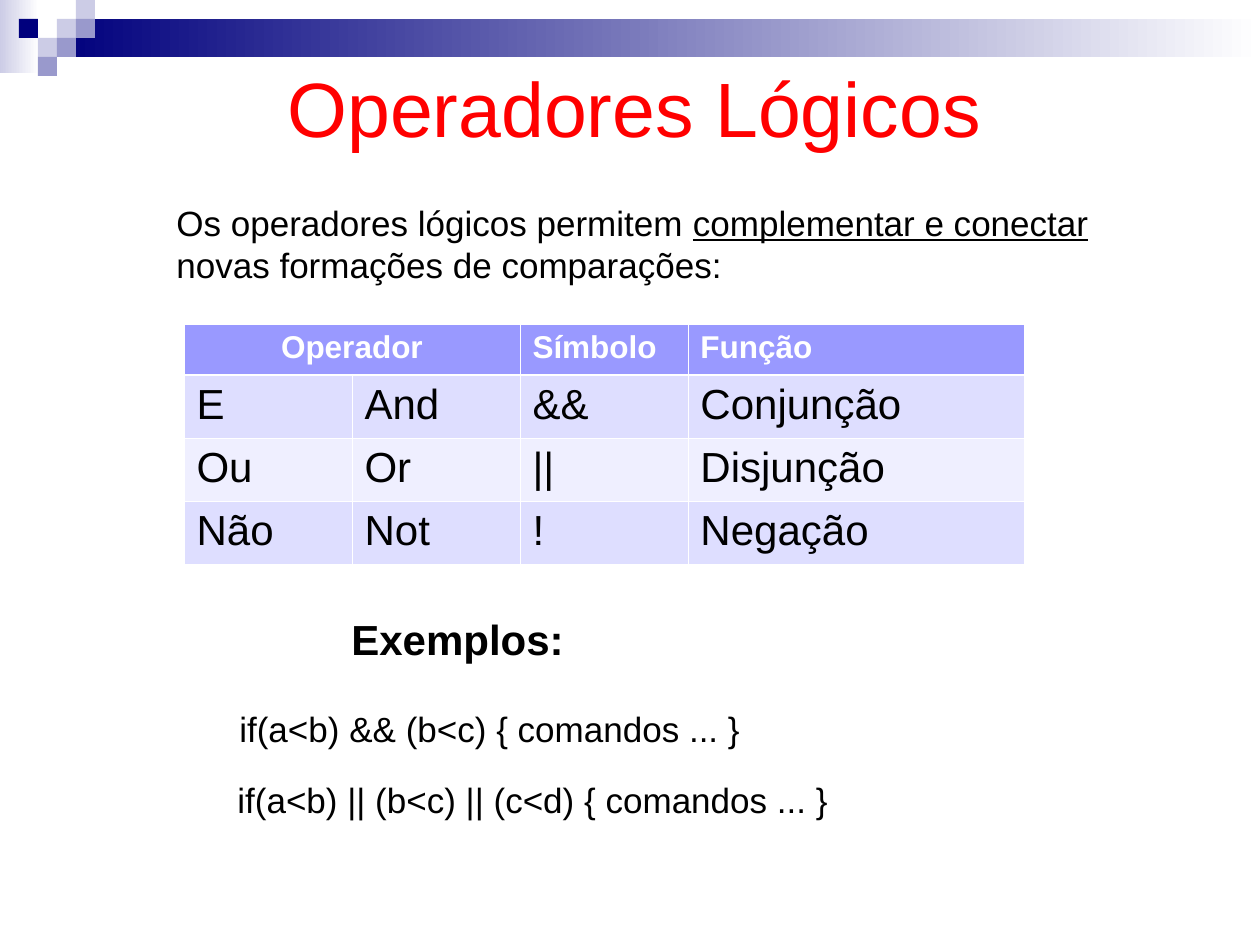
from lxml.etree import SubElement
from pptx import Presentation as Deck
from pptx.dml.color import RGBColor
from pptx.enum.shapes import MSO_SHAPE as Kind
from pptx.enum.text import MSO_ANCHOR as Anchor, PP_ALIGN as Align
from pptx.oxml import parse_xml as make
from pptx.oxml.ns import nsdecls as names
from pptx.util import Pt

PX = 914400 / 126
tint = RGBColor.from_string


def box(*sides):
    return [round(side * PX) for side in sides]


def write(para, text, size=20, color="000000", bold=False, line=False, align=Align.LEFT, gap=0, left=0):
    para.alignment = align
    para.space_before = Pt(gap)
    para._p.get_or_add_pPr().set("marL", str(round(left * PX)))
    run = para.add_run()
    run.text = text
    font = run.font
    font.name = "Arial"
    font.size = Pt(size)
    font.bold = bold
    font.underline = line
    font.color.rgb = tint(color)


deck = Deck()
deck.slide_width, deck.slide_height = box(1260, 945)
slide = deck.slides.add_slide(deck.slide_layouts[5])
shapes = slide.shapes

bars = [
    (0, 0, 39, 73, "CCCCE6"),
    (57, 19, 1203, 38, "00007D"),
]
for *place, color in bars:
    bar = shapes.add_shape(Kind.RECTANGLE, *box(*place))
    bar.shadow.inherit = False
    bar.line.fill.background()
    bar.fill.gradient()
    bar.fill.gradient_angle = 0
    for stop, spot, hue in zip(bar.fill.gradient_stops, (0, 1), (color, "FFFFFF")):
        stop.position = spot
        stop.color.rgb = tint(hue)

STEP = 19
tiles = [
    (3, 1, "CCCCE6"),
    (4, 0, "CCCCE6"),
    (4, 1, "9999CC"),
    (2, 2, "CCCCE6"),
    (1, 1, "00007D"),
    (3, 2, "9999CC"),
    (2, 3, "9999CC"),
]
for col, row, color in tiles:
    tile = shapes.add_shape(Kind.RECTANGLE, *box(col * STEP, row * STEP, STEP, STEP))
    tile.shadow.inherit = False
    tile.line.fill.background()
    tile.fill.solid()
    tile.fill.fore_color.rgb = tint(color)

title = shapes.title
shapes._spTree.append(title._element)
title.left, title.top, title.width, title.height = box(49, 53, 1171, 107)
title.text_frame.vertical_anchor = Anchor.MIDDLE
write(title.text_frame.paragraphs[0], "Operadores Lógicos", size=44, color="FF0000", align=Align.CENTER)

demo = shapes.add_textbox(*box(215, 588, 782, 236)).text_frame
demo.word_wrap = True
demo.margin_top, = box(25)
write(demo.paragraphs[0], "Exemplos:", size=24, bold=True, left=124)
write(demo.add_paragraph(), "if(a<b) && (b<c) { comandos ... }", gap=25, left=12)
write(demo.add_paragraph(), "if(a<b) || (b<c) || (c<d) { comandos ... }", gap=17, left=10)

rows = [
    ("Operador", "", "Símbolo", "Função"),
    ("E", "And", "&&", "Conjunção"),
    ("Ou", "Or", "||", "Disjunção"),
    ("Não", "Not", "!", "Negação"),
]
fills = ["9999FF", "DEDEFF", "EFEFFF", "DEDEFF"]
grid = shapes.add_table(4, 4, *box(184, 324, 840, 240)).table
grid.horz_banding = False
for col, wide in zip(grid.columns, box(168, 168, 168, 336)):
    col.width = wide
for row, tall in zip(grid.rows, box(51, 63, 63, 63)):
    row.height = tall
grid.cell(0, 0).merge(grid.cell(0, 1))

for r, row in enumerate(rows):
    for c, text in enumerate(row):
        cell = grid.cell(r, c)
        cell.fill.solid()
        cell.fill.fore_color.rgb = tint(fills[r])
        for n, side in enumerate("LRTB"):
            thick = (r, side) in [(0, "B"), (1, "T")]
            edge = make(f'<a:ln{side} {names("a")} w="{Pt(1.47 if thick else 0.45)}"/>')
            solid = SubElement(edge, edge.tag.replace(f"ln{side}", "solidFill"))
            SubElement(solid, edge.tag.replace(f"ln{side}", "srgbClr"), val="FFFFFF")
            cell._tc.get_or_add_tcPr().insert(n, edge)
        if not text:
            continue
        para = cell.text_frame.paragraphs[0]
        if r == 0:
            align = Align.CENTER if c == 0 else Align.LEFT
            write(para, text, size=18, color="FFFFFF", bold=True, align=align)
        else:
            write(para, text, size=24)

lead = shapes.add_textbox(*box(164, 195, 983, 97)).text_frame
lead.word_wrap = True
para = lead.paragraphs[0]
write(para, "Os operadores lógicos permitem ")
write(para, "complementar e conectar", line=True)
write(para, " novas formações de comparações:")

deck.save("out.pptx")
